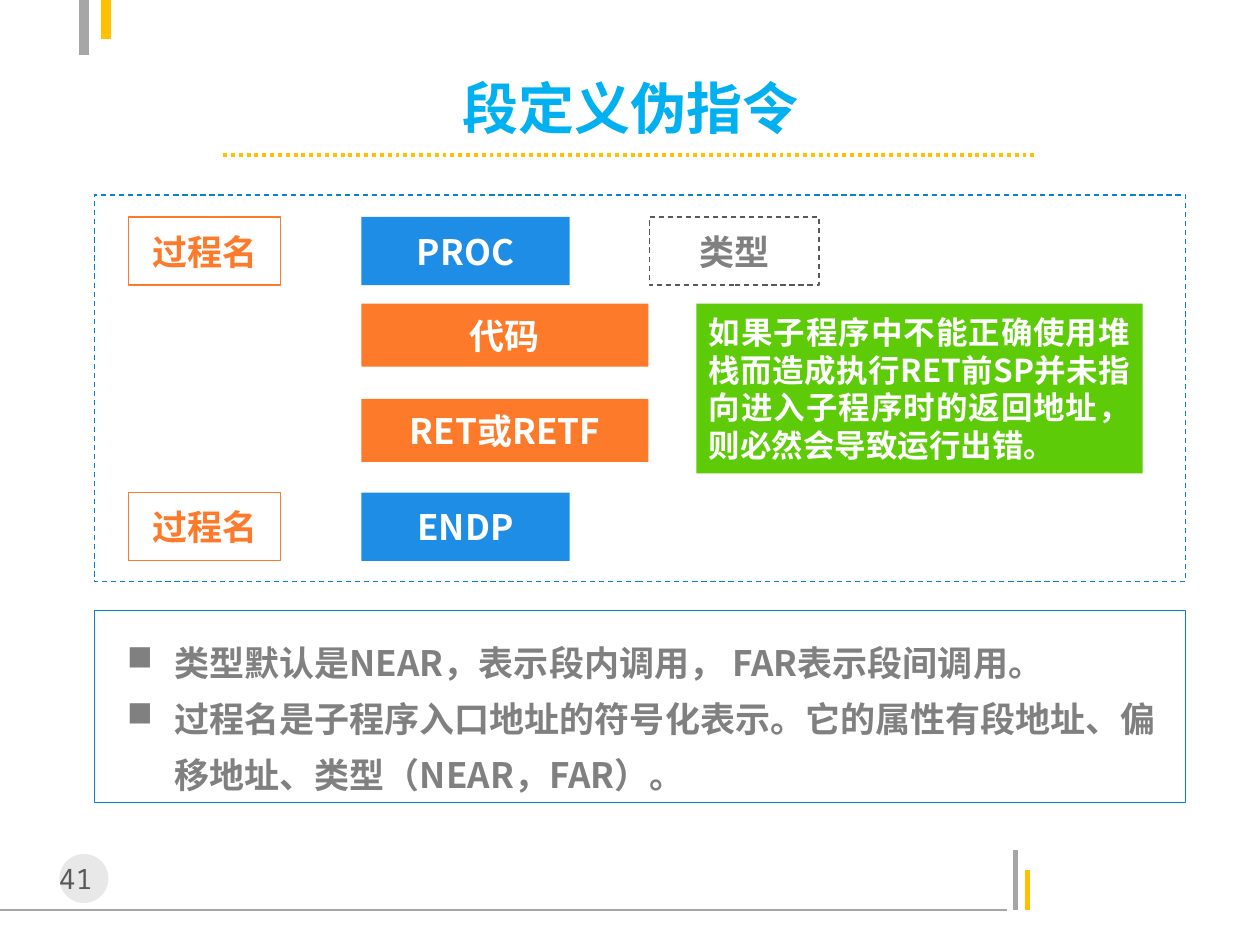
from lxml.etree import SubElement
from pptx import Presentation
from pptx.dml.color import RGBColor
from pptx.enum.dml import MSO_LINE_DASH_STYLE as DASH
from pptx.enum.shapes import MSO_CONNECTOR, MSO_SHAPE
from pptx.enum.text import MSO_ANCHOR as ANCHOR, PP_ALIGN as ALIGN
from pptx.oxml.ns import qn
from pptx.util import Pt

COLORS = {
    "gray": "A6A6A6", "amber": "FFC000", "disc": "BFBFBF", "dark": "595959",
    "orange": "FD7A2A", "blue": "1D8DE5", "green": "5DCB08", "frame": "0883C8",
    "body": "808080", "title": "00B0F0", "white": "FFFFFF",
}
SANS = "Noto Sans CJK SC"
MONO = "Noto Sans Mono"
NAME_LEFT, CODE_LEFT = 73.5, 206.5
START_TOP, END_TOP = 124, 281.5


def rgb(name):
    return RGBColor.from_string(COLORS[name])


def set_font(paragraph, size, color, name=SANS, bold=True):
    font = paragraph.font
    font.size = Pt(size)
    font.bold = bold
    font.name = name
    font.color.rgb = rgb(color)
    properties = paragraph._p.pPr.find(qn("a:defRPr"))
    SubElement(properties, qn("a:ea")).set("typeface", name)


def add_line(slide, start, end, color, width, dash=None):
    line = slide.shapes.add_connector(
        MSO_CONNECTOR.STRAIGHT, *(Pt(value) for value in (*start, *end)))
    line.line.color.rgb = rgb(color)
    line.line.width = Pt(width)
    if dash:
        line.line.dash_style = dash
    SubElement(line._element.spPr, qn("a:effectLst"))


def add_box(slide, box, fill=None, line=None, dash=None, kind=MSO_SHAPE.RECTANGLE):
    shape = slide.shapes.add_shape(kind, *(Pt(value) for value in box))
    shape.shadow.inherit = False
    if fill:
        shape.fill.solid()
        shape.fill.fore_color.rgb = rgb(fill)
    else:
        shape.fill.background()
    if line:
        shape.line.color.rgb = rgb(line)
        shape.line.width = Pt(0.75)
        if dash:
            shape.line.dash_style = dash
    else:
        shape.line.fill.background()
    return shape


def add_label(slide, box, text, color, size=20, align=ALIGN.CENTER, **style):
    frame = add_box(slide, box, **style).text_frame
    frame.word_wrap = True
    frame.vertical_anchor = ANCHOR.MIDDLE
    paragraph = frame.paragraphs[0]
    paragraph.text = text
    paragraph.alignment = align
    set_font(paragraph, size, color)


def add_text(slide, box, text, size, color, anchor=ANCHOR.TOP, wrap=True, **font):
    frame = slide.shapes.add_textbox(*(Pt(value) for value in box)).text_frame
    frame.word_wrap = wrap
    frame.vertical_anchor = anchor
    paragraph = frame.paragraphs[0]
    paragraph.text = text
    paragraph.alignment = ALIGN.CENTER
    set_font(paragraph, size, color, **font)


def add_bullets(slide, box, items):
    frame = slide.shapes.add_textbox(*(Pt(value) for value in box)).text_frame
    frame.word_wrap = True
    for index, item in enumerate(items):
        paragraph = frame.add_paragraph() if index else frame.paragraphs[0]
        paragraph.text = item
        paragraph.line_spacing = 1.33
        properties = paragraph._p.get_or_add_pPr()
        properties.set("marL", str(Pt(27)))
        properties.set("indent", str(-Pt(27)))
        SubElement(properties, qn("a:buChar")).set("char", "■")
        set_font(paragraph, 20, "body")


def add_decoration(slide):
    add_line(slide, (0, 520), (575.5, 520), "gray", 0.75)
    add_line(slide, (580.5, 520), (580.5, 485.5), "gray", 3)
    add_line(slide, (587, 520), (587, 497), "amber", 3)
    add_line(slide, (48, 0), (48, 31.5), "gray", 6)
    add_line(slide, (60.5, 0), (60.5, 22.5), "amber", 6)
    disc = add_box(slide, (34, 488, 28, 28), fill="disc", kind=MSO_SHAPE.OVAL)
    color = disc._element.spPr.find(qn("a:solidFill"))[0]
    SubElement(color, qn("a:alpha")).set("val", "35000")
    add_text(slide, (22.5, 489, 51, 26.5), "41 ", 16, "dark", name=MONO, bold=False)


def add_procedure(slide):
    add_box(slide, (54, 111.5, 623.5, 221), line="frame", dash=DASH.DASH)
    for top, keyword in ((START_TOP, "PROC"), (END_TOP, "ENDP")):
        add_label(slide, (NAME_LEFT, top, 87, 39), "过程名", "orange", line="orange")
        add_label(slide, (CODE_LEFT, top, 119, 39), keyword, "white", fill="blue")
    add_label(slide, (371, START_TOP, 97, 39), "类型", "body", line="dark", dash=DASH.DASH)
    for top, text in ((173.5, "代码"), (228, "RET或RETF")):
        add_label(slide, (CODE_LEFT, top, 164, 36), text, "white", fill="orange")
    add_label(
        slide, (398, 173.5, 255, 97),
        "如果子程序中不能正确使用堆栈而造成执行RET前SP并未指向进入子程序时的返回地址，则必然会导致运行出错。",
        "white", size=18, align=ALIGN.JUSTIFY, fill="green")


def main():
    presentation = Presentation()
    presentation.slide_width = Pt(720)
    presentation.slide_height = Pt(540)
    slide = presentation.slides.add_slide(presentation.slide_layouts[6])
    add_decoration(slide)
    add_text(slide, (99.5, 43, 522, 36), "段定义伪指令", 32, "title",
             anchor=ANCHOR.MIDDLE, wrap=False)
    add_line(slide, (127.5, 88.5), (592.5, 88.5), "amber", 2.25, DASH.ROUND_DOT)
    add_procedure(slide)
    add_box(slide, (54, 349, 623.5, 109.5), line="frame")
    add_bullets(slide, (65.5, 355, 612, 103.5), (
        "类型默认是NEAR，表示段内调用， FAR表示段间调用。",
        "过程名是子程序入口地址的符号化表示。它的属性有段地址、偏移地址、类型（NEAR，FAR）。",
    ))
    presentation.save("out.pptx")


if __name__ == "__main__":
    main()
